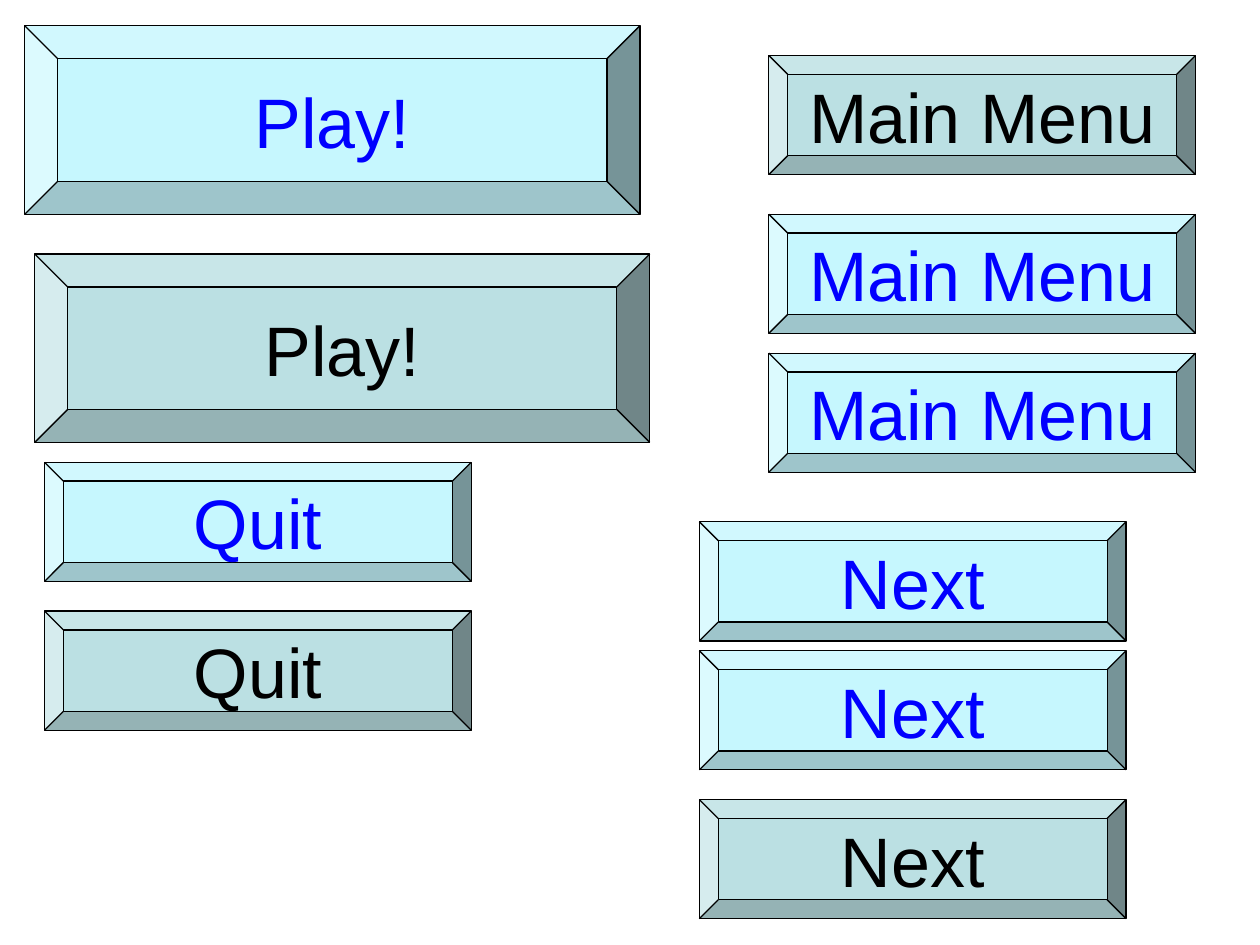
"""Build a slide of bevelled game menu buttons in normal and pressed states."""
from pptx import Presentation
from pptx.dml.color import RGBColor
from pptx.enum.shapes import MSO_SHAPE
from pptx.enum.text import MSO_ANCHOR, PP_ALIGN
from pptx.util import Inches, Pt

BLACK = RGBColor(0x00, 0x00, 0x00)
BLUE = RGBColor(0x00, 0x00, 0xFF)
CYAN = RGBColor(0xC6, 0xF7, 0xFE)
TEAL = RGBColor(0xBB, 0xE0, 0xE3)

STATES = {"normal": (CYAN, BLUE), "pressed": (TEAL, BLACK)}
SIZES = {"large": (62, 19, 0.175), "small": (43, 12, 0.158)}
FONT = {"name": "Arial", "size": Pt(40), "bold": False}
FRAME = {"word_wrap": False, "vertical_anchor": MSO_ANCHOR.MIDDLE,
         "margin_left": Inches(0.1), "margin_right": Inches(0.1),
         "margin_top": Inches(0.05), "margin_bottom": Inches(0.05)}

BUTTONS = [
    ("Play!", "large", "normal", 2, 2),
    ("Play!", "large", "pressed", 3, 25),
    ("Quit", "small", "pressed", 4, 61),
    ("Quit", "small", "normal", 4, 46),
    ("Main Menu", "small", "pressed", 77, 5),
    ("Main Menu", "small", "normal", 77, 21),
    ("Main Menu", "small", "normal", 77, 35),
    ("Next", "small", "pressed", 70, 80),
    ("Next", "small", "normal", 70, 65),
    ("Next", "small", "normal", 70, 52),
]

prs = Presentation()
prs.slide_width, prs.slide_height = Inches(10), Inches(7.5)
s = prs.slides.add_slide(prs.slide_layouts[6])
cell = prs.slide_width / 127
left, top = 0.5 * cell, 0.6 * cell

for label, size, state, col, row in BUTTONS:
    cols, rows, bevel = SIZES[size]
    fill, ink = STATES[state]
    sp = s.shapes.add_shape(MSO_SHAPE.BEVEL, int(left + col * cell), int(top + row * cell),
                            int(cols * cell), int(rows * cell))
    sp.adjustments[0] = bevel
    sp.shadow.inherit = False
    sp.fill.solid()
    sp.fill.fore_color.rgb = fill
    sp.line.color.rgb = BLACK
    sp.line.width = Pt(0.75)
    tf = sp.text_frame
    for name, value in FRAME.items():
        setattr(tf, name, value)
    p = tf.paragraphs[0]
    p.alignment = PP_ALIGN.CENTER
    r = p.add_run()
    r.text = label
    for name, value in FONT.items():
        setattr(r.font, name, value)
    r.font.color.rgb = ink

prs.save("out.pptx")
